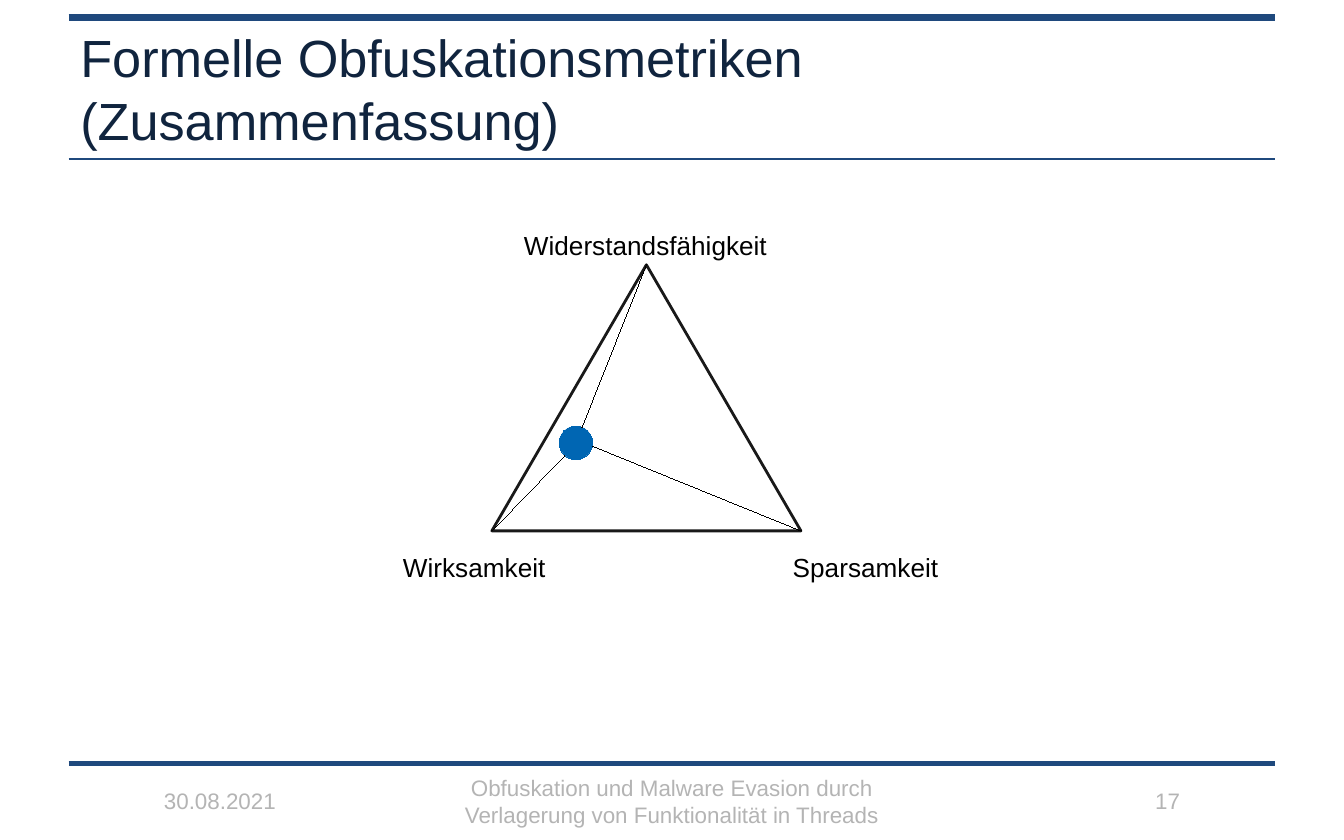
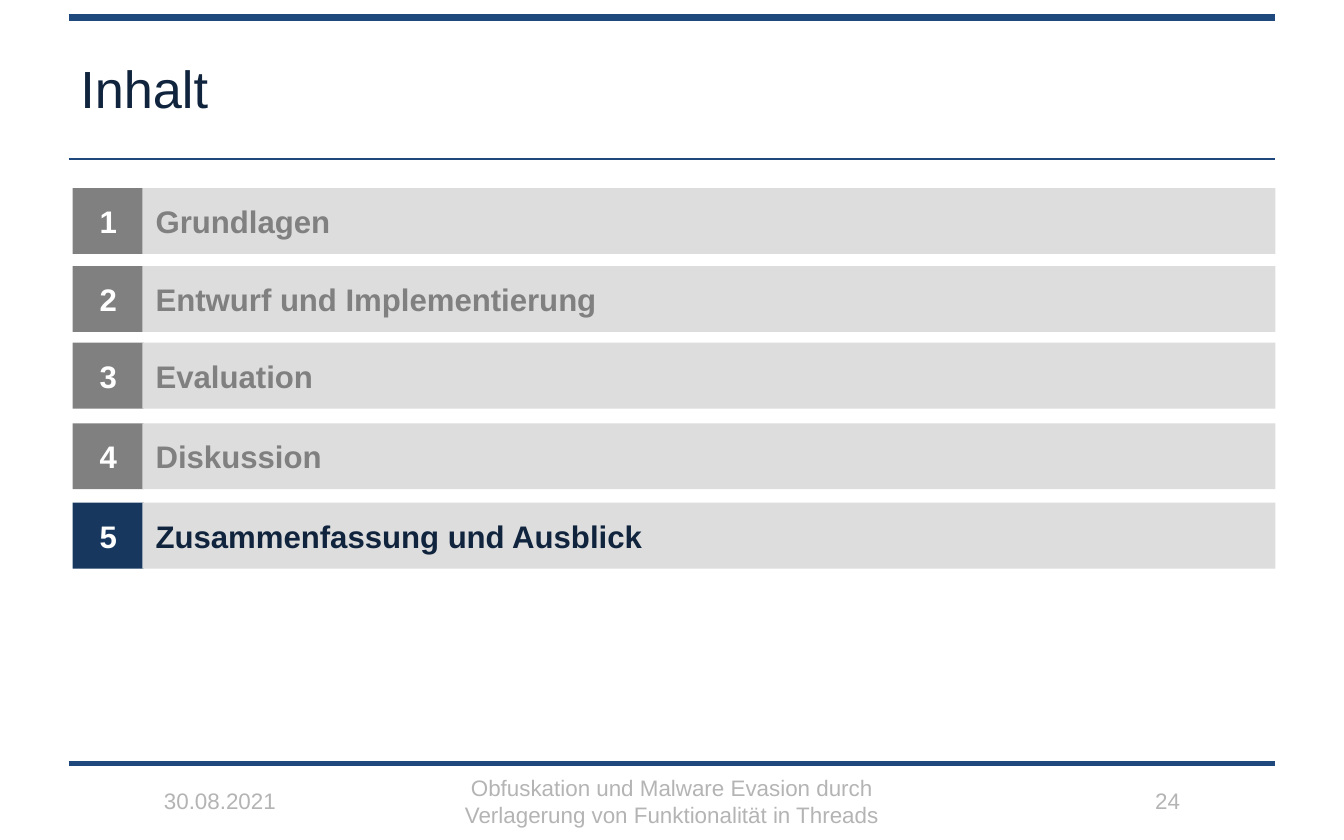
from lxml import etree
from pptx import Presentation
from pptx.dml.color import RGBColor
from pptx.enum.shapes import MSO_CONNECTOR, MSO_SHAPE
from pptx.enum.text import MSO_ANCHOR, MSO_AUTO_SIZE, PP_ALIGN
from pptx.oxml.ns import qn
from pptx.util import Inches, Pt

STRAIGHT = MSO_CONNECTOR.STRAIGHT
RECT, TRIANGLE, ELLIPSE = MSO_SHAPE.RECTANGLE, MSO_SHAPE.ISOSCELES_TRIANGLE, MSO_SHAPE.OVAL
LEFT, CENTER, RIGHT = PP_ALIGN.LEFT, PP_ALIGN.CENTER, PP_ALIGN.RIGHT
TOP, MIDDLE = MSO_ANCHOR.TOP, MSO_ANCHOR.MIDDLE
GROW = MSO_AUTO_SIZE.SHAPE_TO_FIT_TEXT

RULE_BLUE = RGBColor(0x1F, 0x49, 0x7D)
NAVY = RGBColor(0x10, 0x24, 0x3E)
ACTIVE_BLUE = RGBColor(0x17, 0x37, 0x5E)
DOT_BLUE = RGBColor(0x00, 0x66, 0xB3)
BLACK = RGBColor(0x00, 0x00, 0x00)
WHITE = RGBColor(0xFF, 0xFF, 0xFF)
GREY = RGBColor(0x80, 0x80, 0x80)
BAR_GREY = RGBColor(0xDD, 0xDD, 0xDD)
FOOTER_GREY = RGBColor(0xB4, 0xB4, 0xB4)

# Text formats
FONT = "Arial"
TITLE = {"size": Pt(28), "color": NAVY}
FOOTER = {"size": Pt(12), "color": FOOTER_GREY}
LABEL = {"size": Pt(14), "color": BLACK}
NUMBER = {"size": Pt(16.7), "bold": True, "color": WHITE}
ENTRY = {"size": Pt(16.7), "bold": True, "color": GREY}
ACTIVE_ENTRY = {**ENTRY, "color": NAVY}

# Line widths in points; shared rules: height on the slide -> width
HAIRLINE = 0.01
RULES = {5.68: 2.5, 0.13: 4, 1.18: 1}
DATE = "30.08.2021"
TALK = "Obfuskation und Malware Evasion durch\nVerlagerung von Funktionalität in Threads"

# Agenda rows: top edge -> chapter
CHAPTERS = {1.4: "Grundlagen", 1.98: "Entwurf und Implementierung", 2.55: "Evaluation",
            3.15: "Diskussion", 3.74: "Zusammenfassung und Ausblick"}


def write(sp, text, style, align=LEFT, anchor=MIDDLE, wrap=True):
    tf = sp.text_frame
    tf.word_wrap = wrap
    tf.vertical_anchor = anchor
    p = tf.paragraphs[0]
    p.alignment = align
    for i, line in enumerate(text.split("\n")):
        if i:
            p.add_line_break()
        r = p.add_run()
        r.text = line
        r.font.name = FONT
        for name, value in style.items():
            if name == "color":
                r.font.color.rgb = value
            else:
                setattr(r.font, name, value)
    return tf


def add_text(shapes, box, text, style, **layout):
    sp = shapes.add_textbox(*map(Inches, box))
    return write(sp, text, style, **layout)


def add_shape(shapes, kind, box, fill=None):
    sp = shapes.add_shape(kind, *map(Inches, box))
    sp.shadow.inherit = False
    if fill is None:
        sp.fill.background()
    else:
        sp.fill.solid()
        sp.fill.fore_color.rgb = fill
    sp.line.fill.background()
    return sp


def set_line(sp, color, width):
    sp.line.color.rgb = color
    sp.line.width = Pt(width)


def add_line(shapes, start, end, color, width):
    line = shapes.add_connector(STRAIGHT, *map(Inches, start + end))
    set_line(line, color, width)
    etree.SubElement(line._element.spPr, qn("a:effectLst"))


def add_slide(prs, title, number):
    s = prs.slides.add_slide(prs.slide_layouts[6])
    for y, width in RULES.items():
        add_line(s.shapes, (0.51, y), (9.49, y), RULE_BLUE, width)
    add_text(s.shapes, (0.5, 0.13, 9, 1.05), title, TITLE)

    # Footer
    for x, width, text, align in ((1.22, 1.8, DATE, LEFT),
                                  (3.03, 3.94, TALK, CENTER),
                                  (6.98, 1.8, str(number), RIGHT)):
        tf = add_text(s.shapes, (x, 5.73, width, 0.46), text, FOOTER, align=align)
        for side in ("left", "top", "right", "bottom"):
            setattr(tf, f"margin_{side}", 0)
    return s


def add_metric_triangle(s):
    shapes = s.shapes.add_group_shape().shapes
    x, y, width, height = 3.66, 1.97, 2.3, 1.98
    triangle = add_shape(shapes, TRIANGLE, (x, y, width, height))
    set_line(triangle, BLACK, 1.5)
    color = triangle.line._ln.find(".//" + qn("a:srgbClr"))
    etree.SubElement(color, qn("a:alpha"), val="90000")

    # Corner labels
    for text, box, wrap in (("Wirksamkeit", (2.9, 4.05, 1.26, 0.56), True),
                            ("Sparsamkeit", (5.8, 4.05, 1.32, 0.33), False),
                            ("Widerstandsfähigkeit", (3.8, 1.66, 2.07, 0.33), False)):
        tf = add_text(shapes, box, text, LABEL, anchor=TOP, wrap=wrap)
        tf.auto_size = GROW

    # Rating dot and its links to the corners
    dot = add_shape(shapes, ELLIPSE, (4.16, 3.17, 0.25, 0.25), DOT_BLUE)
    set_line(dot, DOT_BLUE, HAIRLINE)
    base = y + height
    for corner, edge in (((x, base), (4.2, 3.39)),
                         ((x + width / 2, y), (4.33, 3.18)),
                         ((x + width, base), (4.41, 3.32))):
        add_line(shapes, corner, edge, BLACK, HAIRLINE)


def add_agenda(s, chapters, active):
    height = 0.49
    for i, (y, chapter) in enumerate(chapters.items(), start=1):
        current = i == active
        number = add_shape(s.shapes, RECT, (0.54, y, 0.53, height),
                           ACTIVE_BLUE if current else GREY)
        write(number, str(i), NUMBER, align=CENTER)
        bar = add_shape(s.shapes, RECT, (1.06, y, 8.43, height), BAR_GREY)
        write(bar, chapter, ACTIVE_ENTRY if current else ENTRY)


def main():
    prs = Presentation()
    prs.slide_width, prs.slide_height = Inches(10), Inches(6.25)

    # Summary of the metrics
    s = add_slide(prs, "Formelle Obfuskationsmetriken (Zusammenfassung)", 17)
    add_metric_triangle(s)

    # Agenda
    s = add_slide(prs, "Inhalt", 24)
    add_agenda(s, CHAPTERS, active=5)

    prs.save("out.pptx")


if __name__ == "__main__":
    main()
